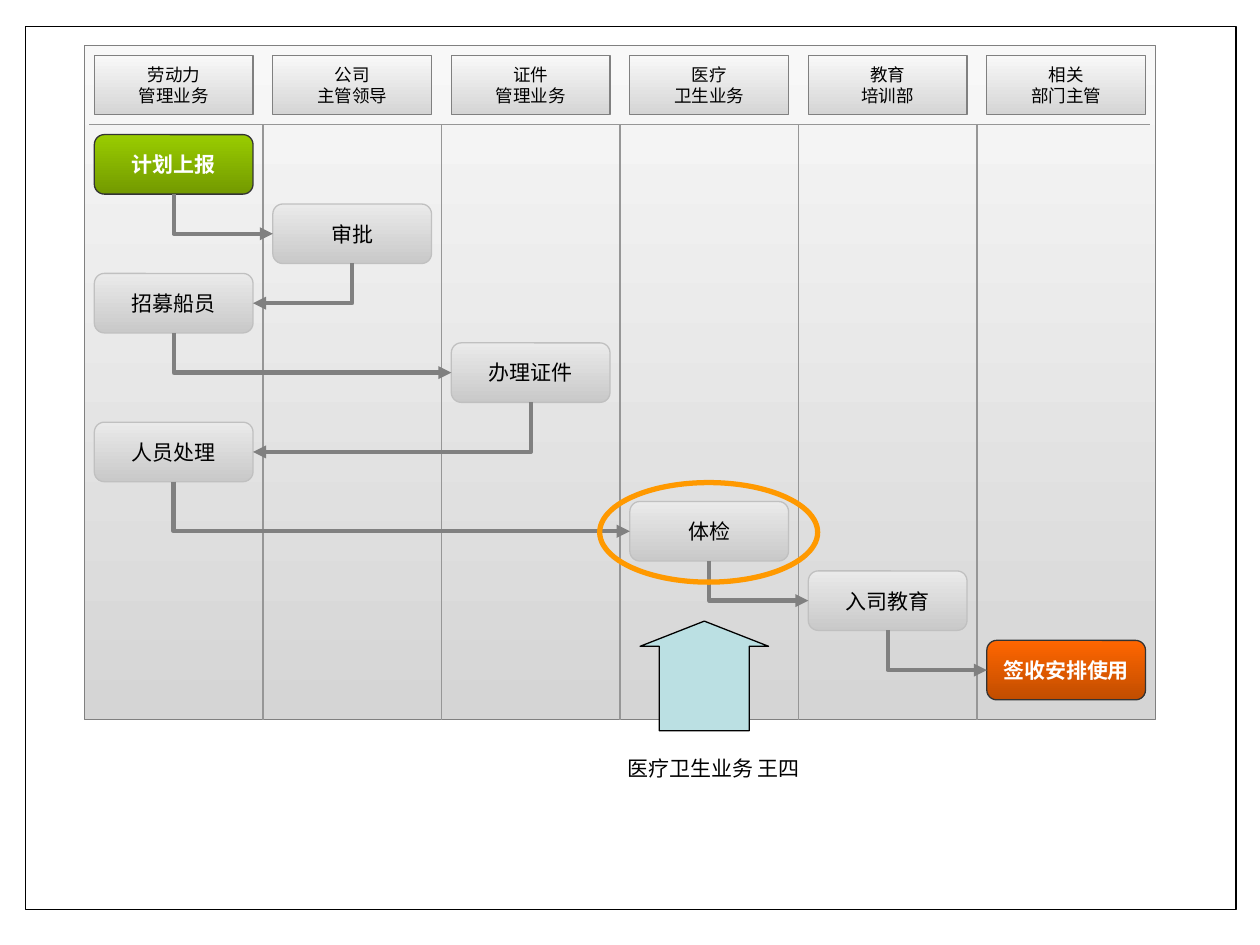
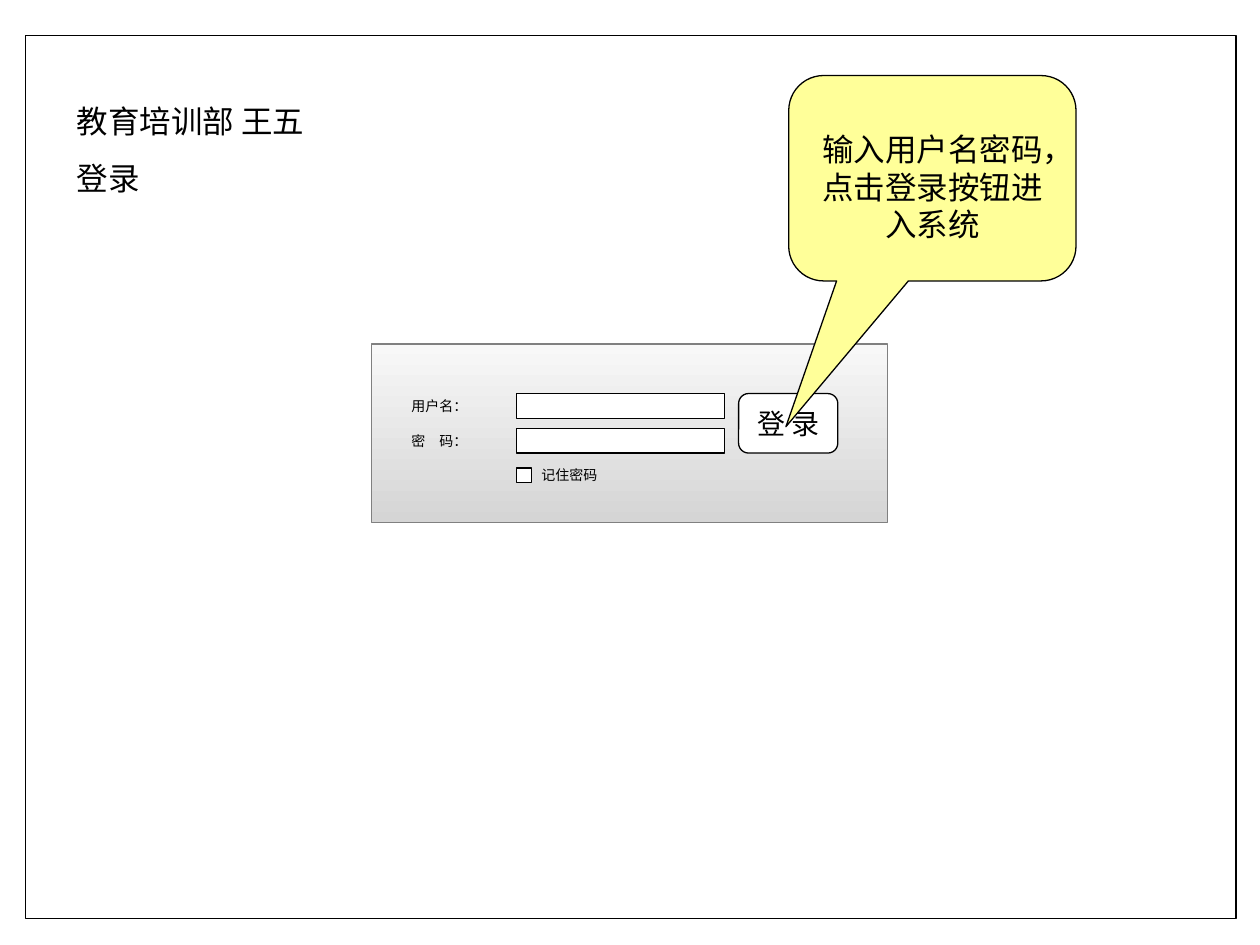
from itertools import pairwise

from lxml.etree import SubElement
from pptx import Presentation
from pptx.dml.color import RGBColor
from pptx.enum.shapes import MSO_CONNECTOR as Connector, MSO_SHAPE as Preset
from pptx.enum.text import MSO_ANCHOR as Anchor, MSO_AUTO_SIZE as AutoSize, PP_ALIGN as Align
from pptx.oxml.ns import qn
from pptx.util import Inches, Pt

# Colours
BLACK = RGBColor(0x00, 0x00, 0x00)
WHITE = RGBColor(0xFF, 0xFF, 0xFF)
GREY = RGBColor(0x80, 0x80, 0x80)
LANE_GREY = RGBColor(0x96, 0x96, 0x96)
STEP_LINE = RGBColor(0xC0, 0xC0, 0xC0)
DARK = RGBColor(0x33, 0x33, 0x33)
ORANGE = RGBColor(0xFF, 0x99, 0x00)
PALE_BLUE = RGBColor(0xBB, 0xE0, 0xE3)
YELLOW = RGBColor(0xFF, 0xFF, 0x99)
PANEL_FILL = (RGBColor(0xF8, 0xF8, 0xF8), RGBColor(0xD5, 0xD5, 0xD5))
STEP_FILL = (RGBColor(0xEA, 0xEA, 0xEA), RGBColor(0xC9, 0xC9, 0xC9))
START_FILL = (RGBColor(0x99, 0xCC, 0x00), RGBColor(0x73, 0x9A, 0x00))
END_FILL = (RGBColor(0xFF, 0x66, 0x00), RGBColor(0xC1, 0x4D, 0x00))

CJK_FONT = "Noto Sans CJK SC"
LATIN_FONT = "Arial"

# Grid: six lanes of 18 units; a box is 16 by 6 units
UNIT = 8.5 / 108
LANE, LANES, BOARD_ROWS = 18, 6, 68
BOX_WIDTH, BOX_HEIGHT = 16, 6
HEADER_ROWS = 8
BOARD_ORIGIN = (0.67, 0.36)
FORM_ORIGIN = (2.95, 2.73)

HEADERS = ["劳动力\v管理业务", "公司\v主管领导", "证件\n管理业务",
           "医疗\v卫生业务", "教育\v培训部", "相关\v部门主管"]
# Text, lane, row
STEPS = [("计划上报", 0, 9), ("审批", 1, 16), ("招募船员", 0, 23), ("办理证件", 2, 30),
         ("人员处理", 0, 38), ("体检", 3, 46), ("入司教育", 4, 53), ("签收安排使用", 5, 60)]


def cells(origin, column, row, columns, rows):
    """Turn grid units into left, top, width and height in inches."""
    left, top = origin
    return left + column * UNIT, top + row * UNIT, columns * UNIT, rows * UNIT


def format_text(text_frame, size, font=LATIN_FONT, color=BLACK, bold=False, align=Align.CENTER,
                anchor=Anchor.MIDDLE, wrap=False, margins=(0.1, 0.05)):
    text_frame.auto_size = AutoSize.NONE
    text_frame.word_wrap = wrap
    text_frame.vertical_anchor = anchor
    text_frame.margin_left = text_frame.margin_right = Inches(margins[0])
    text_frame.margin_top = text_frame.margin_bottom = Inches(margins[1])
    for paragraph in text_frame.paragraphs:
        paragraph.alignment = align
        for run in paragraph.runs:
            run.font.size, run.font.bold = Pt(size), bold
            run.font.color.rgb = color
            run.font.name = font
            SubElement(run.font._element, qn("a:ea")).set("typeface", CJK_FONT)


def add_box(slide, preset, area, fill=WHITE, line=BLACK, weight=0.75, adjustments=()):
    shape = slide.shapes.add_shape(preset, *map(Inches, area))
    shape.shadow.inherit = False
    for index, value in enumerate(adjustments):
        shape.adjustments[index] = value
    if fill is None:
        shape.fill.background()
    elif isinstance(fill, RGBColor):
        shape.fill.solid()
        shape.fill.fore_color.rgb = fill
    else:
        shape.fill.gradient()
        shape.fill.gradient_angle = 270
        for stop, color in zip(shape.fill.gradient_stops, fill):
            stop.color.rgb = color
    shape.line.color.rgb = line
    shape.line.width = Pt(weight)
    return shape


def add_label(slide, area, text, size, **text_format):
    text_frame = slide.shapes.add_textbox(*map(Inches, area)).text_frame
    text_frame.text = text
    format_text(text_frame, size, CJK_FONT, **text_format)


def add_line(slide, kind, start, end, color, weight):
    connector = slide.shapes.add_connector(kind, *map(Inches, (*start, *end)))
    connector.line.color.rgb = color
    connector.line.width = Pt(weight)
    SubElement(connector._element.spPr, qn("a:effectLst"))
    return connector


def add_elbow_arrow(slide, start, end):
    """Go down from start, then sideways to an arrowhead at end."""
    drop, reach = end[1] - start[1], abs(end[0] - start[0])
    left = (start[0] + end[0] - drop) / 2
    top = (start[1] + end[1] - reach) / 2
    connector = add_line(slide, Connector.ELBOW, (left, top), (left + drop, top + reach), GREY, 2.5)
    properties = connector._element.spPr
    properties.find(qn("a:prstGeom")).set("prst", "bentConnector2")
    frame = properties.find(qn("a:xfrm"))
    if end[0] > start[0]:
        frame.set("rot", str(270 * 60000))
        frame.set("flipH", "1")
    else:
        frame.set("rot", str(90 * 60000))
    SubElement(properties.find(qn("a:ln")), qn("a:tailEnd")).set("type", "triangle")


def add_framed_slide(presentation, layout_index, frame_top):
    slide = presentation.slides.add_slide(presentation.slide_layouts[layout_index])
    add_box(slide, Preset.RECTANGLE, (0.2, frame_top, 9.61, 7.01))
    return slide


def add_board(slide):
    add_box(slide, Preset.RECTANGLE, cells(BOARD_ORIGIN, 0, 0, LANE * LANES, BOARD_ROWS),
            PANEL_FILL, GREY)
    for lane, header in enumerate(HEADERS):
        area = cells(BOARD_ORIGIN, lane * LANE + 1, 1, BOX_WIDTH, BOX_HEIGHT)
        box = add_box(slide, Preset.RECTANGLE, area, PANEL_FILL, GREY)
        box.text_frame.text = header
        format_text(box.text_frame, 10)

    # Header rule and lane dividers
    rules = [(0.5, HEADER_ROWS, LANE * LANES - 1, 0)]
    rules += [(lane * LANE, HEADER_ROWS, 0, BOARD_ROWS - HEADER_ROWS) for lane in range(1, LANES)]
    for rule in rules:
        left, top, width, height = cells(BOARD_ORIGIN, *rule)
        add_line(slide, Connector.STRAIGHT, (left, top), (left + width, top + height),
                 LANE_GREY, 0.75)


def add_steps(slide):
    end_fills = {STEPS[0]: START_FILL, STEPS[-1]: END_FILL}
    for step in STEPS:
        text, lane, row = step
        is_end = step in end_fills
        area = cells(BOARD_ORIGIN, lane * LANE + 1, row, BOX_WIDTH, BOX_HEIGHT)
        box = add_box(slide, Preset.ROUNDED_RECTANGLE, area, end_fills.get(step, STEP_FILL),
                      DARK if is_end else STEP_LINE)
        box.text_frame.text = text
        format_text(box.text_frame, 12, color=WHITE if is_end else BLACK, bold=is_end)

    for (_, lane, row), (_, next_lane, next_row) in pairwise(STEPS):
        edge = 1 if next_lane > lane else 1 + BOX_WIDTH
        start = cells(BOARD_ORIGIN, lane * LANE + LANE / 2, row + BOX_HEIGHT, 0, 0)[:2]
        end = cells(BOARD_ORIGIN, next_lane * LANE + edge, next_row + BOX_HEIGHT / 2, 0, 0)[:2]
        add_elbow_arrow(slide, start, end)


def build_process_slide(presentation):
    slide = add_framed_slide(presentation, 6, 0.21)
    add_label(slide, (4.76, 5.95, 1.81, 0.3), "医疗卫生业务 王四", 12, anchor=Anchor.TOP, wrap=True)
    add_board(slide)
    add_steps(slide)
    # Current step
    add_box(slide, Preset.UP_ARROW, (5.08, 4.93, 1.02, 0.87), PALE_BLUE, adjustments=(0.7, 0.23))
    add_box(slide, Preset.OVAL, (4.76, 3.83, 1.73, 0.79), None, ORANGE, 3)


def add_login_form(slide):
    add_box(slide, Preset.RECTANGLE, cells(FORM_ORIGIN, 0, 0, 52, 18), PANEL_FILL, GREY)
    label_format = {"align": Align.LEFT, "margins": (0, 0)}
    add_box(slide, Preset.RECTANGLE, cells(FORM_ORIGIN, 14.6, 12.5, 1.5, 1.5))
    add_label(slide, cells(FORM_ORIGIN, 17.1, 12, 7, 2.5), "记住密码", 8, **label_format)
    for row, text in ((5, "用户名："), (8.5, "密　码：")):
        add_box(slide, Preset.RECTANGLE, cells(FORM_ORIGIN, 14.6, row, 21, 2.5))
        add_label(slide, cells(FORM_ORIGIN, 4, row, 16, 2.5), text, 8, wrap=True, **label_format)


def build_login_slide(presentation):
    slide = add_framed_slide(presentation, 5, 0.28)
    add_login_form(slide)

    # Title, brought in front of the frame
    title = slide.shapes.title
    title.left, title.top, title.width, title.height = map(Inches, (0.51, 0.76, 4.96, 0.86))
    title.text_frame.text = "教育培训部 王五\n登录"
    format_text(title.text_frame, 18, align=Align.LEFT, anchor=Anchor.TOP, wrap=True)
    title.text_frame.paragraphs[1].space_before = Pt(11.2)
    slide.shapes._spTree.append(title._element)

    # Login button and its hint
    button = add_box(slide, Preset.ROUNDED_RECTANGLE, cells(FORM_ORIGIN, 37, 5, 10, 6))
    button.text_frame.text = "登 录"
    format_text(button.text_frame, 16, CJK_FONT, margins=(0, 0))
    hint = add_box(slide, Preset.ROUNDED_RECTANGULAR_CALLOUT, (6.26, 0.6, 2.28, 1.63), YELLOW,
                   adjustments=(-0.51, 1.21, 0.17))
    hint.text_frame.text = "输入用户名密码，点击登录按钮进入系统"
    format_text(hint.text_frame, 18, anchor=Anchor.TOP, wrap=True)
    hint.text_frame.margin_top = Inches(0.35)


def main():
    presentation = Presentation()
    presentation.slide_width, presentation.slide_height = Inches(10), Inches(7.5)
    build_process_slide(presentation)
    build_login_slide(presentation)
    presentation.save("out.pptx")


if __name__ == "__main__":
    main()
